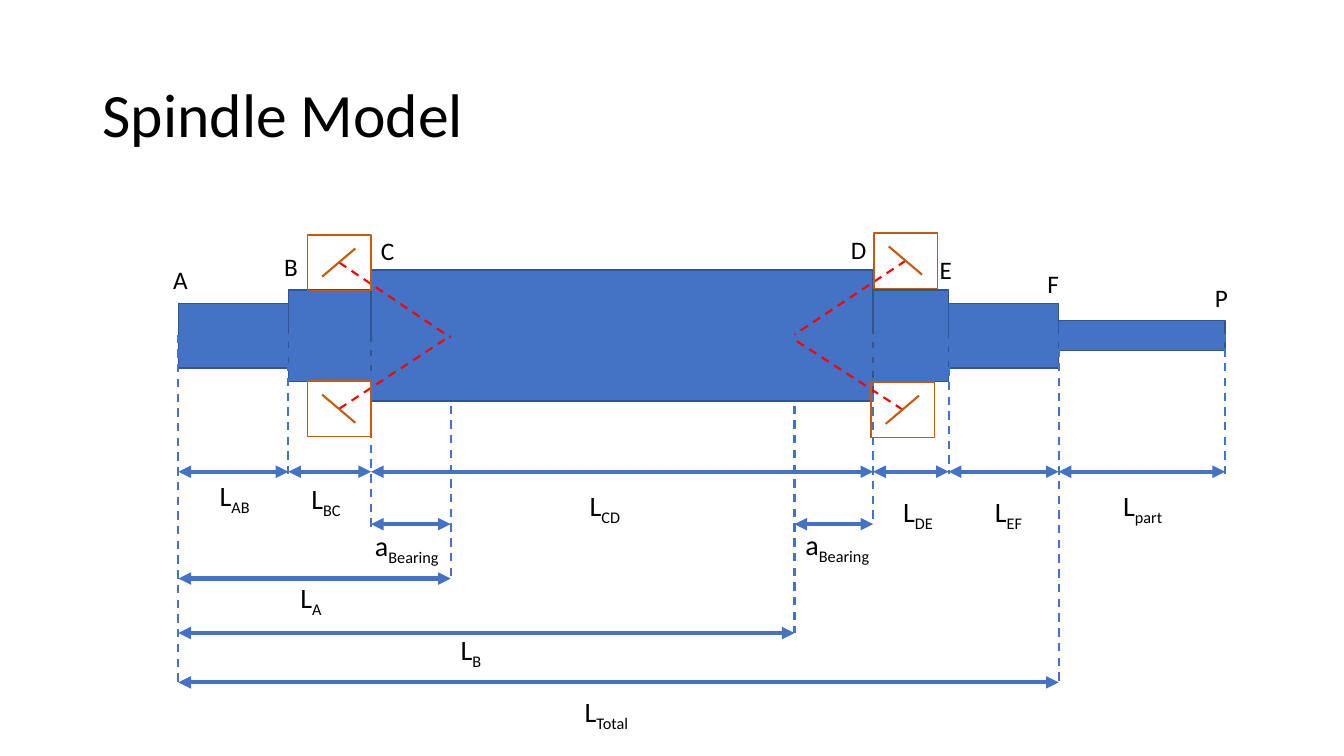
from lxml import etree
from pptx import Presentation, util as u
from pptx.dml.color import RGBColor
from pptx.enum import dml, shapes, text
from pptx.oxml import ns

BLUE = RGBColor(0x44, 0x72, 0xC4)
EDGE = RGBColor(0x32, 0x54, 0x91)
RUST = RGBColor(0xC5, 0x5A, 0x11)
RED = RGBColor(0xFF, 0x00, 0x00)
BLACK = RGBColor(0x00, 0x00, 0x00)

AXIS = 3.33
A, B, C, D, E, F, P = 1.77, 2.86, 3.68, 8.66, 9.41, 10.5, 12.15
LEFT, RIGHT = 4.47, 7.88
ROWS = 4.68, 5.2, 5.74, 6.28, 6.77

STEPS = [(C, D, 1.3), (D, E, 0.91), (E, F, 0.64),
         (B, C, 0.91), (A, B, 0.64), (F, P, 0.3)]
GUIDES = [(A, 3.32, ROWS[4]), (B, 3.31, 4.7), (C, 3.39, 5.23),
          (D, 3.31, ROWS[1]), (E, 3.35, 4.7), (F, 3.31, ROWS[4]),
          (P, 3.31, 4.7), (LEFT, 3.44, ROWS[2]), (RIGHT, 3.44, ROWS[3])]
SPANS = [(A, B, 0), (B, C, 0), (C, D, 0), (D, E, 0), (E, F, 0), (F, P, 0),
         (C, LEFT, 1), (RIGHT, D, 1), (A, LEFT, 2), (A, RIGHT, 3), (A, F, 4)]
POINTS = [("A", 1.62, 2.57), ("B", 2.72, 2.44), ("C", 3.68, 2.29),
          ("D", 8.34, 2.28), ("E", 9.22, 2.47), ("F", 10.29, 2.61),
          ("P", 11.95, 2.75)]
NAMES = [("L", "AB", 2.08, 4.7), ("L", "BC", 2.99, 4.73),
         ("L", "CD", 5.75, 4.8), ("L", "DE", 8.86, 4.86),
         ("L", "EF", 9.77, 4.86), ("L", "part", 11.04, 4.8),
         ("a", "Bearing", 3.62, 5.19), ("a", "Bearing", 7.89, 5.18),
         ("L", "A", 2.88, 5.71), ("L", "B", 4.47, 6.23),
         ("L", "Total", 5.7, 6.84)]
MOUNTS = [(3.05, 2.33, 1, LEFT, 3.35), (8.67, 2.31, -1, RIGHT, 3.32),
          (3.05, 3.78, -1, LEFT, 3.33), (8.64, 3.79, 1, RIGHT, 3.37)]


def add_box(slide, x, y, w, h, edge, fill=None):
    """Draw a rectangle, hollow unless a fill is given."""
    box = slide.shapes.add_shape(shapes.MSO_SHAPE.RECTANGLE,
                                 *map(u.Inches, (x, y, w, h)))
    box.shadow.inherit = False
    if fill is None:
        box.fill.background()
    else:
        box.fill.solid()
        box.fill.fore_color.rgb = fill
    box.line.color.rgb = edge
    box.line.width = u.Pt(1)


def add_line(slide, x1, y1, x2, y2, color, width=1.5, dash=False, heads=False):
    """Draw a straight line, dashed or with two arrowheads on request."""
    line = slide.shapes.add_connector(shapes.MSO_CONNECTOR.STRAIGHT,
                                      *map(u.Inches, (x1, y1, x2, y2)))
    line.line.color.rgb = color
    line.line.width = u.Pt(width)
    if dash:
        line.line.dash_style = dml.MSO_LINE.DASH
    if heads:
        for end in ("a:headEnd", "a:tailEnd"):
            etree.SubElement(line.line._ln, ns.qn(end), type="triangle")
    etree.SubElement(line._element.spPr, ns.qn("a:effectLst"))


def add_text(slide, parts, x, y, w, h, size, wrap=True):
    """Write a text whose second part, if any, is a subscript."""
    box = slide.shapes.add_textbox(*map(u.Inches, (x, y, w, h)))
    frame = box.text_frame
    frame.word_wrap = wrap
    frame.auto_size = text.MSO_AUTO_SIZE.SHAPE_TO_FIT_TEXT
    for i, part in enumerate(parts):
        run = frame.paragraphs[0].add_run()
        run.text = part
        run.font.name = "Calibri"
        run.font.size = u.Pt(size)
        run.font.color.rgb = BLACK
        if i:
            run.font._element.set("baseline", "-25000")
    return frame


def add_title(slide, title):
    """Write the slide title, centred in its height."""
    frame = add_text(slide, [title], 0.92, 0.44, 11.5, 1.45, 44)
    frame.auto_size = text.MSO_AUTO_SIZE.NONE
    frame.vertical_anchor = text.MSO_ANCHOR.MIDDLE
    frame.paragraphs[0].line_spacing = 0.9


def add_mount(slide, x, y, slope, tip, height):
    """Draw a bearing with its contact line and the line to its load centre."""
    w, h = 0.63, 0.55
    mid_x, mid_y = x + w / 2, y + h / 2
    add_line(slide, mid_x, mid_y, tip, height, RED, dash=True)
    add_box(slide, x, y, w, h, RUST)
    rise = 0.14 * slope
    add_line(slide, mid_x + 0.16, mid_y - rise, mid_x - 0.17, mid_y + rise, RUST)


def main():
    """Build the spindle slide and save it."""
    deck = Presentation()
    deck.slide_width, deck.slide_height = u.Inches(13.33), u.Inches(7.5)
    slide = deck.slides.add_slide(deck.slide_layouts[6])
    add_title(slide, "Spindle Model")
    for start, end, h in STEPS:
        add_box(slide, start, AXIS - h / 2, end - start, h, EDGE, BLUE)
    for start, end, row in SPANS:
        add_line(slide, start, ROWS[row], end, ROWS[row], BLUE, 3, heads=True)
    for x, top, end in GUIDES:
        add_line(slide, x, top, x, end, BLUE, dash=True)
    for mount in MOUNTS:
        add_mount(slide, *mount)
    for name, x, y in POINTS:
        add_text(slide, [name], x, y, 0.33, 0.4, 18, wrap=False)
    for base, sub, x, y in NAMES:
        add_text(slide, [base, sub], x, y, 1.04, 0.44, 20)
    deck.save("out.pptx")


main()
